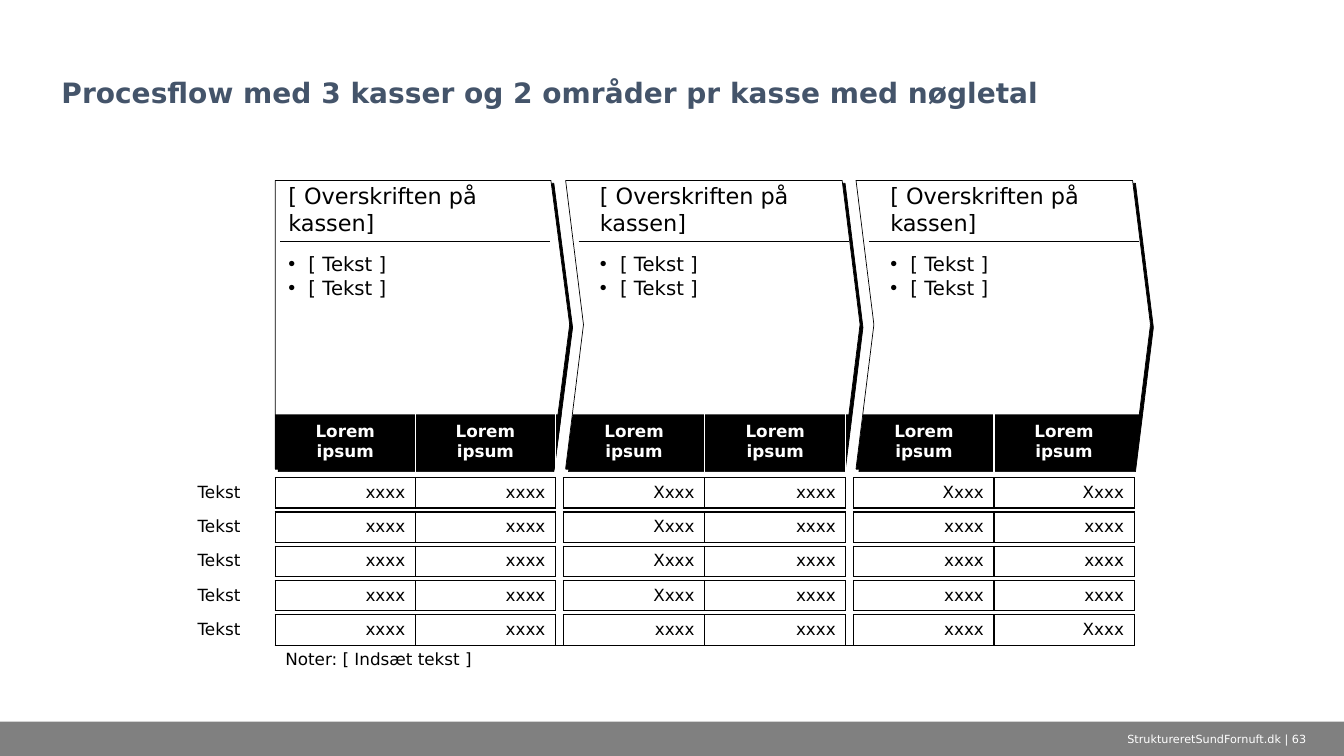
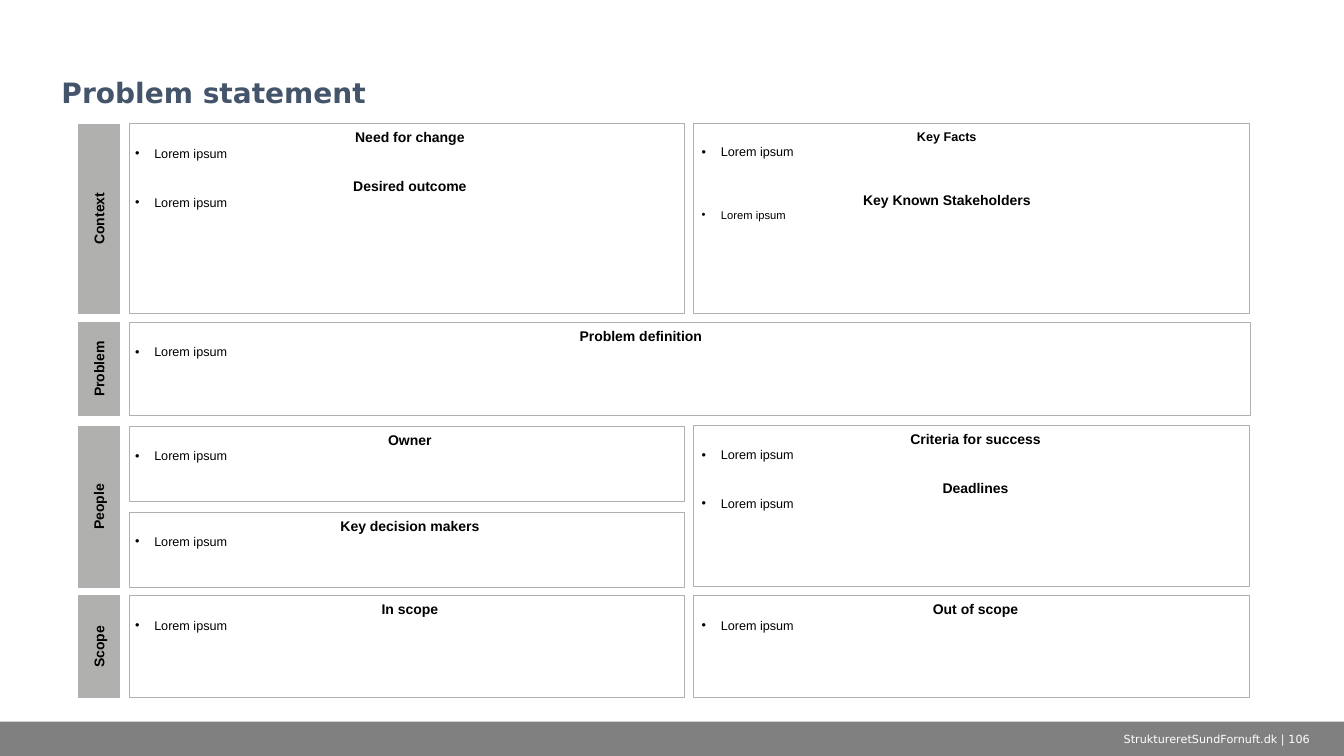
from lxml.etree import SubElement
from pptx import Presentation
from pptx.dml.color import RGBColor
from pptx.enum.shapes import MSO_CONNECTOR, MSO_SHAPE
from pptx.enum.text import MSO_ANCHOR, MSO_AUTO_SIZE, PP_ALIGN
from pptx.oxml.ns import qn
from pptx.util import Inches, Pt

COLORS = {name: RGBColor.from_string(value) for name, value in {
    "title": "44546A", "band": "808080", "panel": "B0B0AE",
    "black": "000000", "white": "FFFFFF"}.items()}
DEJAVU, ARIAL = "DejaVu Sans", "Arial"
NO_GRID_STYLE = "{2D5ABB26-0587-4C30-8999-92F81FD0307C}"

prs = Presentation()
prs.slide_width, prs.slide_height = Inches(13.33), Inches(7.5)

# Shared title position
title_layout = prs.slide_layouts[5]
layout_title = title_layout.placeholders[0]
layout_title.left, layout_title.top = Inches(0.51), Inches(0.17)
layout_title.width, layout_title.height = Inches(12.31), Inches(0.97)


def write(paragraph, text, size, font=DEJAVU, color="black", bold=False,
          align=PP_ALIGN.LEFT, bullet_indent=None):
    """Fill a paragraph with one formatted run, with a bullet if indented."""
    if bullet_indent:
        props = paragraph._p.get_or_add_pPr()
        props.set("marL", str(Inches(bullet_indent)))
        props.set("indent", str(-Inches(bullet_indent)))
        SubElement(props, qn("a:buFont"), typeface=ARIAL)
        SubElement(props, qn("a:buChar"), char="•")
    paragraph.alignment = align
    run = paragraph.add_run()
    run.text = text
    run.font.name, run.font.size, run.font.bold = font, Pt(size), bold
    run.font.color.rgb = COLORS[color]


def add_page(title, number):
    """Add a slide with title, bottom band and footer."""
    slide = prs.slides.add_slide(title_layout)
    band = slide.shapes.add_shape(MSO_SHAPE.RECTANGLE, 0, Inches(7.16),
                                  prs.slide_width, Inches(0.35))
    band.shadow.inherit = False
    band.fill.solid()
    band.fill.fore_color.rgb = COLORS["band"]
    band.line.fill.background()

    heading = slide.shapes.title.text_frame
    heading.auto_size = MSO_AUTO_SIZE.NONE
    heading.vertical_anchor = MSO_ANCHOR.BOTTOM
    heading.paragraphs[0].line_spacing = 0.9
    write(heading.paragraphs[0], title, 20, color="title", bold=True)

    footer = slide.shapes.add_textbox(Inches(10.81), Inches(7.16),
                                      Inches(2.52), Inches(0.34)).text_frame
    footer.word_wrap = True
    footer.vertical_anchor = MSO_ANCHOR.MIDDLE
    write(footer.paragraphs[0], f"StruktureretSundFornuft.dk | {number}", 8,
          color="white", align=PP_ALIGN.CENTER)
    return slide


# Slide 1: process flow
flow = add_page("Procesflow med 3 kasser og 2 områder pr kasse med nøgletal", 63)

for step in range(3):
    left = 2.73 + 2.88 * step
    first = step == 0
    slant = 0 if first else 0.07

    # Arrow box with hard shadow
    arrow = flow.shapes.add_shape(
        MSO_SHAPE.PENTAGON if first else MSO_SHAPE.CHEVRON,
        Inches(left), Inches(1.79), Inches(2.92), Inches(2.86))
    arrow.adjustments[0] = 0.065 if first else 0.062
    arrow.fill.solid()
    arrow.fill.fore_color.rgb = COLORS["white"]
    arrow.line.color.rgb = COLORS["black"]
    arrow.line.width = Pt(0.5)
    arrow.shadow.inherit = False
    effects = arrow.element.spPr.find(qn("a:effectLst"))
    shadow = SubElement(effects, qn("a:outerShdw"), blurRad="0", dist=str(Pt(3)),
                        dir="2700000", algn="ctr", rotWithShape="0")
    SubElement(shadow, qn("a:srgbClr"), val=str(COLORS["black"]))

    # Rule under the heading
    rule_left = left + (0.05 if first else 0.13)
    rule = flow.shapes.add_connector(
        MSO_CONNECTOR.STRAIGHT, Inches(rule_left), Inches(2.39),
        Inches(rule_left + 2.68), Inches(2.39))
    rule.line.color.rgb = COLORS["black"]
    rule.line.width = Pt(0.5)
    SubElement(rule.element.spPr, qn("a:effectLst"))

    # Heading and bullets
    text_left = left + (0.05 if first else 0.26)
    text_width = 2.7 if first else 2.59
    for top, height, anchor, lines, size, indent in (
            (2.03, 0.37, MSO_ANCHOR.BOTTOM, ["[ Overskriften på kassen]"], 16, None),
            (2.44, 2.09, MSO_ANCHOR.TOP, ["[ Tekst ]", "[ Tekst ]"], 14, 0.2)):
        frame = flow.shapes.add_textbox(Inches(text_left), Inches(top),
                                        Inches(text_width), Inches(height)).text_frame
        frame.word_wrap = True
        frame.vertical_anchor = anchor
        frame.margin_left = frame.margin_right = Inches(0.08)
        frame.margin_top = frame.margin_bottom = Inches(0.06)
        for index, line in enumerate(lines):
            paragraph = frame.add_paragraph() if index else frame.paragraphs[0]
            write(paragraph, line, size, bullet_indent=indent)

    # Black foot of the arrow box
    outline = flow.shapes.build_freeform(Inches(left + slant), Inches(4.11))
    outline.add_line_segments([
        (Inches(left + 2.84), Inches(4.11)), (Inches(left + 2.77), Inches(4.66)),
        (Inches(left), Inches(4.66))])
    foot = outline.convert_to_shape()
    foot.shadow.inherit = False
    foot.fill.solid()
    foot.fill.fore_color.rgb = COLORS["black"]
    foot.line.fill.background()

# Key figures: data rows alternate with narrow spacer rows
figures = ["xxxx xxxx Xxxx xxxx Xxxx Xxxx",
           "xxxx xxxx Xxxx xxxx xxxx xxxx",
           "xxxx xxxx Xxxx xxxx xxxx xxxx",
           "xxxx xxxx Xxxx xxxx xxxx xxxx",
           "xxxx xxxx xxxx xxxx xxxx Xxxx"]
value_columns = [1, 2, 4, 5, 7, 8]
column_widths = [0.87, 1.39, 1.39, 0.08, 1.4, 1.4, 0.08, 1.39, 1.39]
row_heights = [0.64] + [0.04, 0.29] * 5 + [0.29]
note_row = len(row_heights) - 1

table_frame = flow.shapes.add_table(
    len(row_heights), len(column_widths), Inches(1.86), Inches(4.06),
    Inches(sum(column_widths)), Inches(sum(row_heights)))
table_frame.element.find(".//" + qn("a:tableStyleId")).text = NO_GRID_STYLE
table = table_frame.table
table.first_row = table.horz_banding = False
for column, width in zip(table.columns, column_widths):
    column.width = Inches(width)
for row, height in zip(table.rows, row_heights):
    row.height = Inches(height)
table.cell(note_row, 1).merge(table.cell(note_row, 8))

for r in range(len(row_heights)):
    for c in range(len(column_widths)):
        cell = table.cell(r, c)
        paragraph = cell.text_frame.paragraphs[0]
        data_row = r % 2 == 0 and r > 0
        sides, border = [], "black"
        if r == 0 and c in value_columns:
            write(paragraph, "Lorem ipsum", 12, color="white", bold=True,
                  align=PP_ALIGN.CENTER)
            cell.vertical_anchor = MSO_ANCHOR.MIDDLE
            cell.margin_left = cell.margin_right = Inches(0.15)
            sides = ["R"] if c in value_columns[::2] else ["L"]
            border = "white"
        elif data_row and c == 0:
            write(paragraph, "Tekst", 12)
        elif data_row and c in value_columns:
            value = figures[r // 2 - 1].split()[value_columns.index(c)]
            write(paragraph, value, 12, align=PP_ALIGN.RIGHT)
            sides = ["L", "R", "T", "B"]
        elif r == note_row and c == 1:
            write(paragraph, "Noter: [ Indsæt tekst ]", 12)
            sides = ["T"]
        else:
            SubElement(paragraph._p, qn("a:endParaRPr"), sz="100")
            cell.margin_left = cell.margin_right = 0
            cell.margin_top = cell.margin_bottom = 0
        for side in sides:
            edge = SubElement(cell._tc.get_or_add_tcPr(), qn("a:ln" + side),
                              w=str(Pt(1)))
            edge_fill = SubElement(edge, qn("a:solidFill"))
            SubElement(edge_fill, qn("a:srgbClr"), val=str(COLORS[border]))
        cell.fill.background()

# Slide 2: problem statement
statement = add_page("Problem statement", 106)

# Side tabs, turned a quarter to the left
tab_center, tab_width = 0.98, 0.41
for label, top, height in (("Context", 1.23, 1.88), ("Problem", 3.2, 0.92),
                           ("People", 4.23, 1.6), ("Scope", 5.91, 1.01)):
    tab = statement.shapes.add_shape(
        MSO_SHAPE.RECTANGLE, Inches(tab_center - height / 2),
        Inches(top + height / 2 - tab_width / 2), Inches(height), Inches(tab_width))
    tab.rotation = 270
    tab.shadow.inherit = False
    tab.fill.solid()
    tab.fill.fore_color.rgb = COLORS["panel"]
    tab.line.color.rgb = COLORS["panel"]
    tab.line.width = Pt(0.75)
    frame = tab.text_frame
    frame.margin_left = frame.margin_right = Inches(0.12)
    frame.margin_top = frame.margin_bottom = Inches(0.12)
    frame.vertical_anchor = MSO_ANCHOR.TOP
    write(frame.paragraphs[0], label, 10, ARIAL, bold=True, align=PP_ALIGN.CENTER)

# Panels: left, top, width, height, left and right inset,
# sections (heading, heading size, bullet size, space before)
LEFT, RIGHT, HALF, FULL = 1.28, 6.88, 5.51, 11.12
panels = [
    (LEFT, 1.23, HALF, 1.88, 0.06, 0,
     [("Need for change", 10, 9, 0), ("Desired outcome", 10, 9, 12)]),
    (RIGHT, 1.23, HALF, 1.88, 0.08, 0.57,
     [("Key Facts", 9, 9, 0), ("Key Known Stakeholders", 10, 8, 23)]),
    (LEFT, 3.2, FULL, 0.92, 0.06, 1.03, [("Problem definition", 10, 9, 0)]),
    (LEFT, 4.23, HALF, 0.75, 0.06, 0, [("Owner", 10, 9, 0)]),
    (LEFT, 5.08, HALF, 0.75, 0.06, 0, [("Key decision makers", 10, 9, 0)]),
    (RIGHT, 4.22, HALF, 1.6, 0.08, 0,
     [("Criteria for success", 10, 9, 0), ("Deadlines", 10, 9, 12)]),
    (LEFT, 5.91, HALF, 1.01, 0.06, 0, [("In scope", 10, 9, 0)]),
    (RIGHT, 5.91, HALF, 1.01, 0.08, 0, [("Out of scope", 10, 9, 0)]),
]
for left, top, width, height, inset_left, inset_right, sections in panels:
    panel = statement.shapes.add_shape(MSO_SHAPE.RECTANGLE, Inches(left), Inches(top),
                                       Inches(width), Inches(height))
    panel.shadow.inherit = False
    panel.fill.background()
    panel.line.color.rgb = COLORS["panel"]
    panel.line.width = Pt(0.75)
    frame = panel.text_frame
    frame.word_wrap = True
    frame.vertical_anchor = MSO_ANCHOR.TOP
    frame.margin_left, frame.margin_right = Inches(inset_left), Inches(inset_right)
    frame.margin_top, frame.margin_bottom = Inches(0.05), 0
    for index, (heading, heading_size, bullet_size, gap) in enumerate(sections):
        paragraph = frame.add_paragraph() if index else frame.paragraphs[0]
        if gap:
            paragraph.space_before = Pt(gap)
        write(paragraph, heading, heading_size, ARIAL, bold=True,
              align=PP_ALIGN.CENTER)
        write(frame.add_paragraph(), "Lorem ipsum", bullet_size, ARIAL,
              bullet_indent=0.19)

prs.save("out.pptx")
